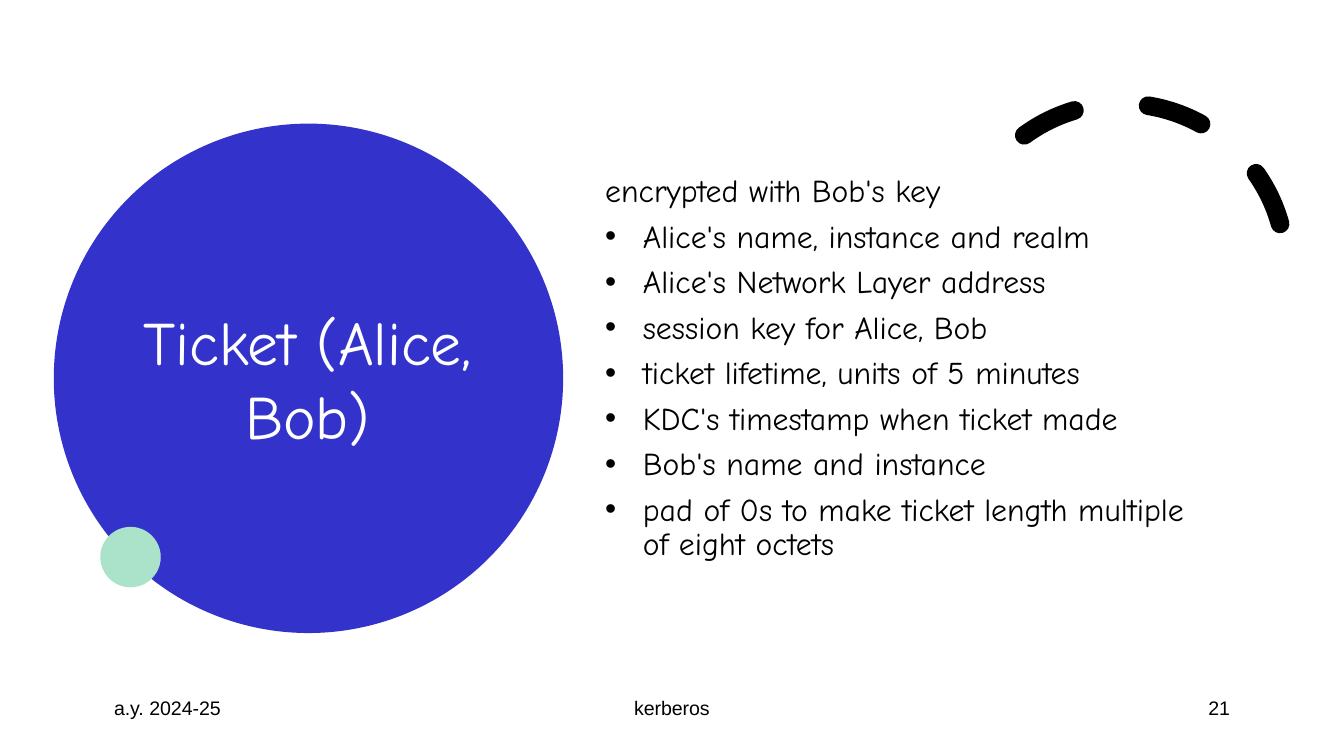
import pptx
import pptx.util
import pptx.dml.color
import pptx.enum.dml
import pptx.enum.shapes
import pptx.enum.text
from lxml import etree
from dataclasses import dataclass

SHAPE = pptx.enum.shapes.MSO_SHAPE
ALIGN = pptx.enum.text.PP_ALIGN
ANCHOR = pptx.enum.text.MSO_ANCHOR


@dataclass
class Theme:
    disc: str = "3333CC"
    dot: str = "AAE2CA"
    ink: str = "000000"
    paper: str = "FFFFFF"
    font: str = "Comic Neue"
    footer_font: str = "Arial"
    title_size: float = 33
    body_size: float = 17
    footer_size: float = 10.5


theme = Theme()
deck = pptx.Presentation()
deck.slide_width = pptx.util.Inches(10)
deck.slide_height = deck.slide_width * 9 // 16
page = deck.slides.add_slide(deck.slide_layouts[5])


def place(left, top, width, height):
    """Turn percentages of the slide's width and height into lengths."""
    across, down = deck.slide_width / 100, deck.slide_height / 100
    return [round(left * across), round(top * down),
            round(width * across), round(height * down)]


def add_span(para, words, font, size, color):
    span = para.add_run()
    span.text = words
    span.font.name = font
    span.font.size = pptx.util.Pt(size)
    span.font.color.rgb = pptx.dml.color.RGBColor.from_string(color)


# Title, in front of the large disc
title = page.shapes.title
title.left, title.top, title.width, title.height = place(9.6, 20.44, 26.6, 59.2)
frame = title.text_frame
frame.word_wrap = True
frame.auto_size = pptx.enum.text.MSO_AUTO_SIZE.NONE
frame.vertical_anchor = ANCHOR.MIDDLE
para = frame.paragraphs[0]
para.alignment = ALIGN.CENTER
add_span(para, "Ticket (Alice, Bob)", theme.font, theme.title_size, theme.paper)

# Large disc and small dot: left, top, diameter as share of the width
discs = []
for left, top, size, color in [(4, 16.36, 37.9, theme.disc),
                               (7.46, 69.69, 4.5, theme.dot)]:
    disc = page.shapes.add_shape(SHAPE.OVAL, *place(left, top, size, size))
    disc.height = disc.width
    disc.shadow.inherit = False
    disc.fill.solid()
    disc.fill.fore_color.rgb = pptx.dml.color.RGBColor.from_string(color)
    disc.line.fill.background()
    discs.append(disc)
title.element.addprevious(discs[0].element)

# Dashed arc with round ends
arc = page.shapes.add_shape(SHAPE.ARC, *place(71.2, 13.7, 24.5, 24.5))
arc.height = arc.width
arc.rotation = 330.2
arc.adjustments[0] = 158.17
arc.adjustments[1] = 17.81
arc.shadow.inherit = False
arc.fill.background()
arc.line.color.rgb = pptx.dml.color.RGBColor.from_string(theme.ink)
arc.line.width = pptx.util.Pt(10)
arc.line.dash_style = pptx.enum.dml.MSO_LINE.DASH
arc.element.spPr.find(pptx.oxml.ns.qn("a:ln")).set("cap", "rnd")
discs[1].element.addprevious(arc.element)

# Ticket contents: a lead line, then bullets
lines = [
    "encrypted with Bob's key",
    "Alice's name, instance and realm",
    "Alice's Network Layer address",
    "session key for Alice, Bob",
    "ticket lifetime, units of 5 minutes",
    "KDC's timestamp when ticket made",
    "Bob's name and instance",
    "pad of 0s to make ticket length multiple of eight octets",
]
body = page.shapes.add_textbox(*place(44.05, 22.3, 45.4, 57.42))
frame = body.text_frame
frame.word_wrap = True
indent = pptx.util.Inches(0.28)
for number, words in enumerate(lines):
    para = frame.paragraphs[0] if number == 0 else frame.add_paragraph()
    para.line_spacing = 0.9
    props = para._p.get_or_add_pPr()
    props.set("marL", str(indent))
    props.set("indent", str(-indent))
    if number:
        para.space_before = pptx.util.Pt(6)
        bullet_font = etree.SubElement(props, pptx.oxml.ns.qn("a:buFont"))
        bullet_font.set("typeface", theme.footer_font)
        bullet = etree.SubElement(props, pptx.oxml.ns.qn("a:buChar"))
        bullet.set("char", "•")
    add_span(para, words, theme.font, theme.body_size, theme.ink)

# Footer: date, subject, page number
for left, width, align, words in [(7.5, 20.8, ALIGN.LEFT, "a.y. 2024-25"),
                                  (34.2, 31.6, ALIGN.CENTER, "kerberos"),
                                  (71.7, 20.8, ALIGN.RIGHT, "21")]:
    box = page.shapes.add_textbox(*place(left, 91.2, width, 6.58))
    box.text_frame.word_wrap = True
    para = box.text_frame.paragraphs[0]
    para.alignment = align
    add_span(para, words, theme.footer_font, theme.footer_size, theme.ink)

deck.save("out.pptx")
